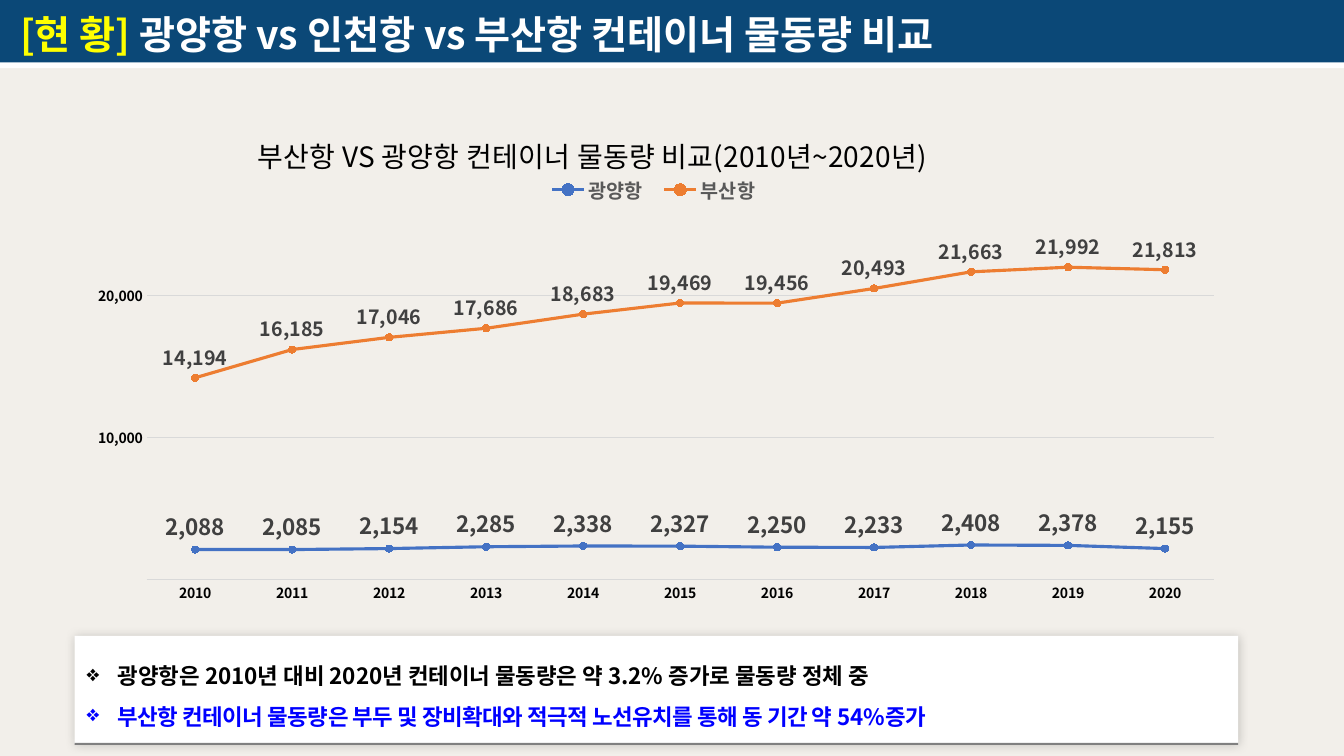
"""Build a slide comparing yearly container volumes of two Korean ports."""
import pptx
import pptx.chart.data
import pptx.dml.color
import pptx.enum.chart
import pptx.enum.shapes
import pptx.enum.text
import pptx.oxml
import pptx.oxml.ns
import pptx.util
from lxml import etree

RGBColor = pptx.dml.color.RGBColor
Pt = pptx.util.Pt
qn = pptx.oxml.ns.qn

FONT = "Noto Sans CJK KR"
CREAM = RGBColor(0xF2, 0xEF, 0xEA)
NAVY = RGBColor(0x0B, 0x48, 0x77)
WHITE = RGBColor(0xFF, 0xFF, 0xFF)
BLACK = RGBColor(0x00, 0x00, 0x00)
YELLOW = RGBColor(0xFF, 0xFF, 0x00)
BLUE = RGBColor(0x00, 0x00, 0xFF)
GRAY = RGBColor(0x80, 0x80, 0x80)
GRID_GRAY = RGBColor(0xD9, 0xD9, 0xD9)
LEGEND_GRAY = RGBColor(0x59, 0x59, 0x59)
LABEL_GRAY = RGBColor(0x40, 0x40, 0x40)
SERIES_BLUE = RGBColor(0x44, 0x72, 0xC4)
SERIES_ORANGE = RGBColor(0xED, 0x7D, 0x31)

presentation = pptx.Presentation()
presentation.slide_width = pptx.util.Inches(13.33)
presentation.slide_height = pptx.util.Inches(7.5)
slide = presentation.slides.add_slide(presentation.slide_layouts[6])
slide.background.fill.solid()
slide.background.fill.fore_color.rgb = CREAM


def area(left, top, width, height):
    """Turn percentages of the slide into lengths."""
    across, down = presentation.slide_width / 100, presentation.slide_height / 100
    return int(left * across), int(top * down), int(width * across), int(height * down)


def style(font, size, color, bold):
    """Set the look of a font."""
    font.name, font.size, font.bold = FONT, Pt(size), bold
    font.color.rgb = color


panel = slide.shapes.add_group_shape()
rectangles = [
    (slide.shapes, area(0, 0, 100, 8.27), NAVY, (WHITE, 100, 0, 4, 90)),
    (panel.shapes, area(5.55, 84.13, 86.57, 14.27), WHITE, (BLACK, 18, 7, 0, 0)),
    (panel.shapes, area(5.55, 98.27, 86.57, 0.27), GRAY, None),
]
for shapes, place, color, shadow in rectangles:
    shape = shapes.add_shape(pptx.enum.shapes.MSO_SHAPE.RECTANGLE, *place)
    shape.fill.solid()
    shape.fill.fore_color.rgb = color
    shape.line.fill.background()
    shape.shadow.inherit = False
    if shadow:
        shade, opacity, blur, distance, angle = shadow
        effects = shape._element.spPr.find(qn("a:effectLst"))
        outer = etree.SubElement(
            effects, qn("a:outerShdw"), blurRad=str(Pt(blur)), dist=str(Pt(distance)),
            dir=str(angle * 60000), algn="ctr", rotWithShape="0")
        tint = etree.SubElement(outer, qn("a:srgbClr"), val=str(shade))
        etree.SubElement(tint, qn("a:alpha"), val=str(opacity * 1000))

heading = slide.shapes.add_textbox(*area(0.75, 0.67, 81.4, 7.6)).text_frame
heading.word_wrap = True
heading.auto_size = pptx.enum.text.MSO_AUTO_SIZE.SHAPE_TO_FIT_TEXT
for text, color in [("[현 황] ", YELLOW), ("광양항 vs 인천항 vs 부산항 컨테이너 물동량 비교", WHITE)]:
    run = heading.paragraphs[0].add_run()
    run.text = text
    style(run.font, 28, color, True)

findings = slide.shapes.add_textbox(*area(5.7, 85.2, 68.72, 12.13)).text_frame
findings.word_wrap = False
findings.auto_size = pptx.enum.text.MSO_AUTO_SIZE.SHAPE_TO_FIT_TEXT
messages = [
    ("광양항은 2010년 대비 2020년 컨테이너 물동량은 약 3.2% 증가로 물동량 정체 중", BLACK, 0),
    ("부산항 컨테이너 물동량은 부두 및 장비확대와 적극적 노선유치를 통해 동 기간 약 54%증가", BLUE, -30),
]
for number, (text, color, spacing) in enumerate(messages):
    paragraph = findings.add_paragraph() if number else findings.paragraphs[0]
    paragraph.line_spacing = 1.5
    properties = paragraph._p.get_or_add_pPr()
    indent = pptx.util.Inches(0.31)
    properties.set("marL", str(indent))
    properties.set("indent", str(-indent))
    etree.SubElement(properties, qn("a:buChar"), char="❖")
    run = paragraph.add_run()
    run.text = text
    style(run.font, 16, color, True)
    run.font._element.set("spc", str(spacing))

ports = [
    ("광양항", SERIES_BLUE, 16,
     [2088, 2085, 2154, 2285, 2338, 2327, 2250, 2233, 2408, 2378, 2155]),
    ("부산항", SERIES_ORANGE, 14,
     [14194, 16185, 17046, 17686, 18683, 19469, 19456, 20493, 21663, 21992, 21813]),
]
data = pptx.chart.data.CategoryChartData(number_format="#,###,")
data.categories = [str(year) for year in range(2010, 2021)]
for name, color, size, thousands in ports:
    data.add_series(name, [value * 1000 for value in thousands])
chart = slide.shapes.add_chart(
    pptx.enum.chart.XL_CHART_TYPE.LINE_MARKERS, *area(5.55, 9.73, 86.57, 71.47), data).chart
style(chart.font, 10, BLACK, False)

chart.has_title = True
run = chart.chart_title.text_frame.paragraphs[0].add_run()
run.text = "부산항 VS 광양항 컨테이너 물동량 비교(2010년~2020년)"
style(run.font, 20, BLACK, False)
chart.has_legend = True
chart.legend.position = pptx.enum.chart.XL_LEGEND_POSITION.TOP
chart.legend.include_in_layout = False
style(chart.legend.font, 14, LEGEND_GRAY, True)

for axis in (chart.category_axis, chart.value_axis):
    axis.major_tick_mark = axis.minor_tick_mark = pptx.enum.chart.XL_TICK_MARK.NONE
    style(axis.tick_labels.font, 10, BLACK, True)
chart.value_axis.minimum_scale = 0
chart.value_axis.maximum_scale = 27000000
chart.value_axis.major_unit = 10000000
chart.value_axis.tick_labels.number_format = "#,###,"
chart.value_axis.tick_labels.number_format_is_linked = False
chart.value_axis.format.line.fill.background()
for line in (chart.category_axis.format.line, chart.value_axis.major_gridlines.format.line):
    line.color.rgb = GRID_GRAY
    line.width = Pt(0.75)

for series, (name, color, size, thousands) in zip(chart.plots[0].series, ports):
    series.smooth = False
    series.format.line.color.rgb = color
    series.format.line.width = Pt(2.25)
    series.marker.style = pptx.enum.chart.XL_MARKER_STYLE.CIRCLE
    series.marker.size = 5
    series.marker.format.fill.solid()
    series.marker.format.fill.fore_color.rgb = color
    series.marker.format.line.color.rgb = color
    labels = series.data_labels
    labels.show_value = True
    labels.position = pptx.enum.chart.XL_LABEL_POSITION.ABOVE
    labels.number_format = "#,###,"
    labels.number_format_is_linked = False
    style(labels.font, size, LABEL_GRAY, True)

chart_parts = [
    ("c:title", 1, {"x": 15.3, "y": 9.8}),
    ("c:legend", 1, {"x": 39.8, "y": 18, "w": 20, "h": 7}),
    ("c:plotArea", 0, {"x": 6.2, "y": 22.7, "w": 91.7, "h": 70.9}),
]
chart_space = chart._chartSpace
for tag, index, shares in chart_parts:
    part = chart_space.chart.find(qn(tag))
    for old in part.findall(qn("c:layout")):
        part.remove(old)
    layout = pptx.oxml.parse_xml(f"<c:layout {pptx.oxml.ns.nsdecls('c')}/>")
    part.insert(index, layout)
    manual = etree.SubElement(layout, qn("c:manualLayout"))
    if tag == "c:plotArea":
        etree.SubElement(manual, qn("c:layoutTarget"), val="inner")
    for key in ("x", "y"):
        etree.SubElement(manual, qn(f"c:{key}Mode"), val="edge")
    for key, share in shares.items():
        etree.SubElement(manual, qn(f"c:{key}"), val=str(round(share / 100, 3)))

for root in (slide._element, chart_space):
    for latin in list(root.iter(qn("a:latin"))):
        east_asian = etree.Element(qn("a:ea"), typeface=FONT)
        latin.addnext(east_asian)

presentation.save("out.pptx")
